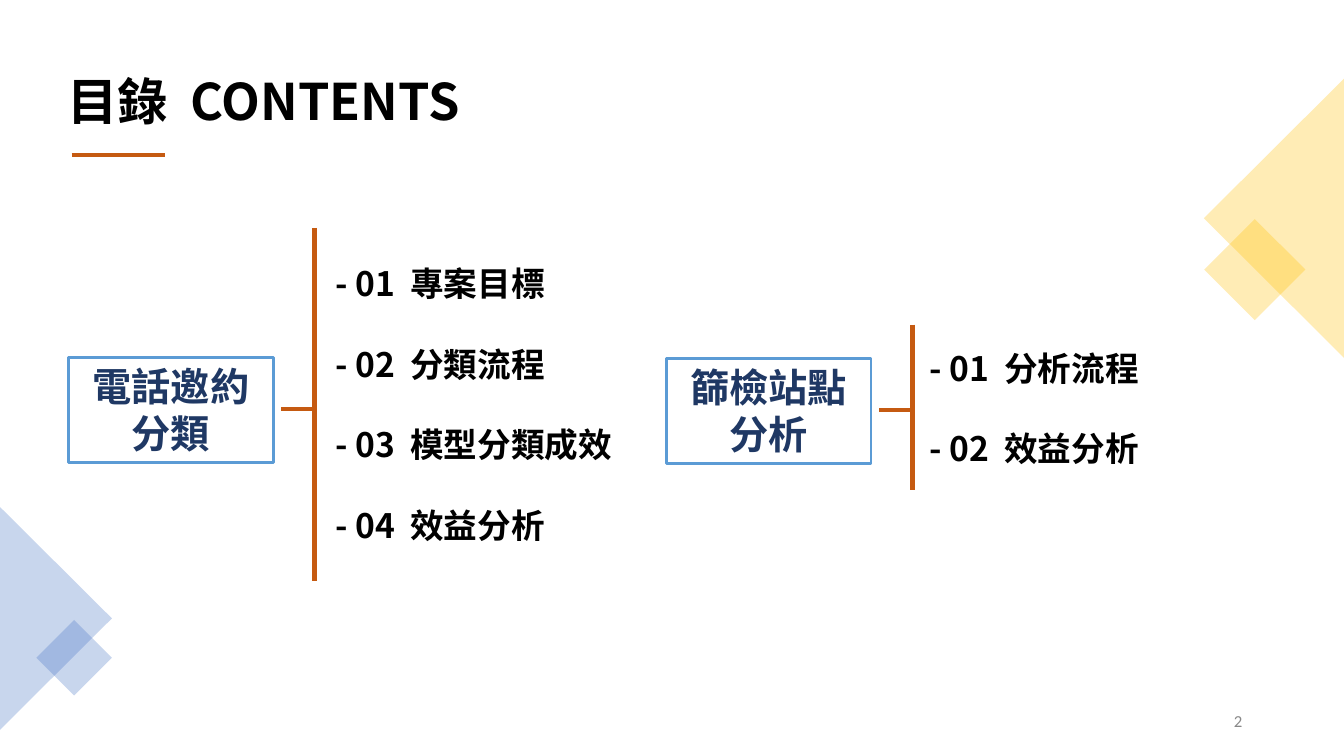
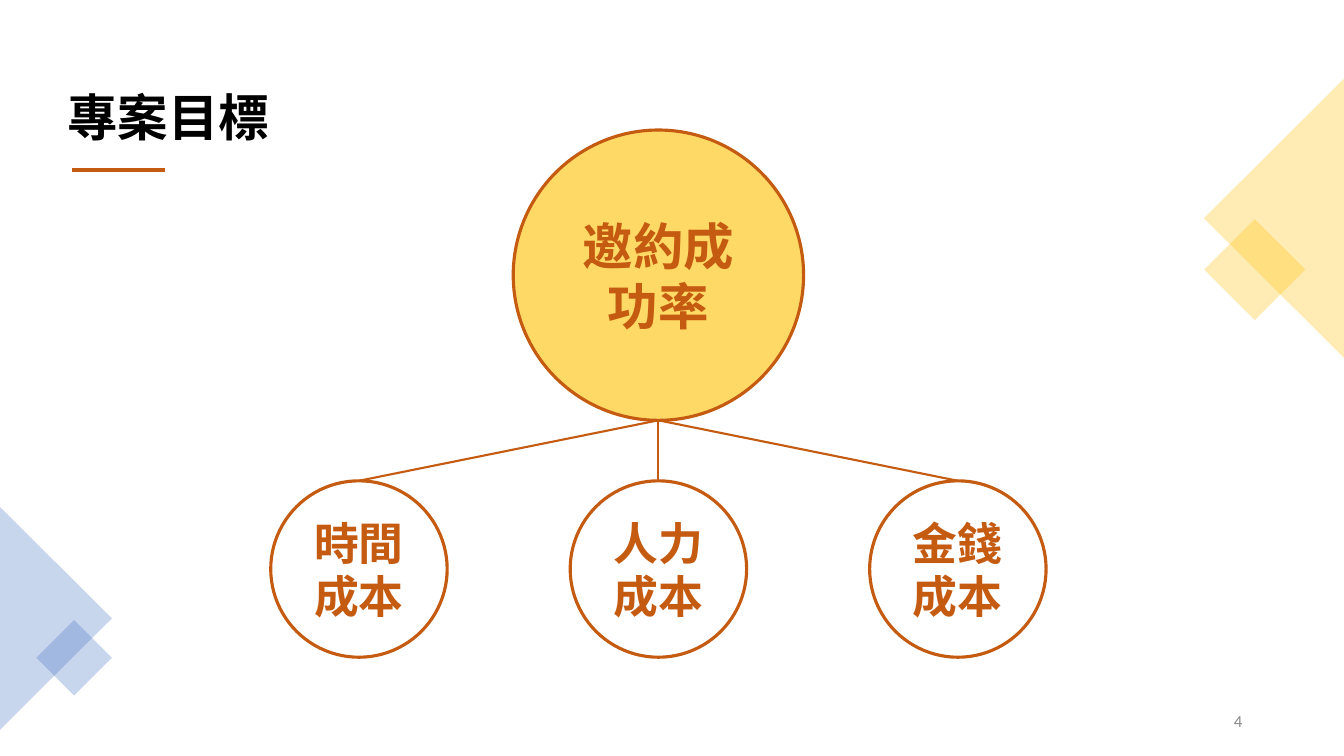
from lxml.etree import SubElement
from pptx import Presentation
from pptx.dml.color import RGBColor
from pptx.enum.shapes import MSO_CONNECTOR, MSO_SHAPE
from pptx.enum.text import MSO_ANCHOR, PP_ALIGN
from pptx.oxml.ns import qn
from pptx.util import Pt

PX = 9144
FONT = "Noto Sans CJK TC"
RUST = "C55A11"
BLACK = "000000"
GOLD = "FFC000"
BLUE = "4472C4"
hue = RGBColor.from_string


def write(shape, lines, size, color, align=PP_ALIGN.LEFT, anchor=MSO_ANCHOR.MIDDLE,
          face=FONT, lead=1.2, gap=0):
    frame = shape.text_frame
    frame.word_wrap = True
    frame.vertical_anchor = anchor
    for i, line in enumerate(lines):
        para = frame.add_paragraph() if i else frame.paragraphs[0]
        para.alignment = align
        para.line_spacing = Pt(size * lead)
        para.space_after = Pt(gap)
        for part in filter(None, line.rpartition(" ")):
            run = para.add_run()
            run.text = part
            run.font.size = Pt(size)
            run.font.bold = face == FONT
            run.font.color.rgb = hue(color)
            run.font.name = face
            props = run.font._element
            SubElement(props, qn("a:ea")).set("typeface", face)
            if part == " ":
                props.set("spc", str(size * 22))


def link(slide, x1, y1, x2, y2, width):
    line = slide.shapes.add_connector(
        MSO_CONNECTOR.STRAIGHT, *(v * PX for v in (x1, y1, x2, y2)))
    line.line.color.rgb = hue(RUST)
    line.line.width = Pt(width)
    SubElement(line._element.spPr, qn("a:effectLst"))
    return line


deck = Presentation()
deck.slide_width = 1333 * PX
deck.slide_height = 750 * PX

decor = [
    (MSO_SHAPE.RECTANGLE, 1209, 232, 71, 71, 45, GOLD),
    (MSO_SHAPE.ISOSCELES_TRIANGLE, 1125, 147, 277, 139, 270, GOLD),
    (MSO_SHAPE.ISOSCELES_TRIANGLE, -55, 558, 221, 111, 90, BLUE),
    (MSO_SHAPE.RECTANGLE, 47, 626, 53, 53, 45, BLUE),
]

slides = []
for title, top, page in [("目錄 CONTENTS", 41, "2"), ("專案目標", 56, "4")]:
    slide = deck.slides.add_slide(deck.slide_layouts[6])
    slides.append(slide)
    for kind, x, y, w, h, turn, color in decor:
        shape = slide.shapes.add_shape(kind, x * PX, y * PX, w * PX, h * PX)
        shape.rotation = turn
        shape.shadow.inherit = False
        shape.line.fill.background()
        shape.fill.solid()
        shape.fill.fore_color.rgb = hue(color)
        tint = shape._element.spPr.find(".//" + qn("a:srgbClr"))
        SubElement(tint, qn("a:alpha")).set("val", "29000")
    head = slide.shapes.add_textbox(57 * PX, top * PX, 1193 * PX, 124 * PX)
    write(head, [title], 36, BLACK, lead=1.08)
    link(slide, 71, top + 113, 164, top + 113, 3)
    foot = slide.shapes.add_textbox(942 * PX, 695 * PX, 300 * PX, 40 * PX)
    write(foot, [page], 12, "888888", PP_ALIGN.RIGHT, face="Calibri")

contents, goals = slides

groups = [
    ("電話邀約分類", 68, 355, 226, 576, 323, 256, 293,
     ["- 01 專案目標", "- 02 分類流程", "- 03 模型分類成效", "- 04 效益分析"]),
    ("篩檢站點分析", 661, 356, 322, 486, 912, 340, 131,
     ["- 01 分析流程", "- 02 效益分析"]),
]
for name, x, y, top, low, left, start, tall, items in groups:
    box = contents.shapes.add_shape(
        MSO_SHAPE.RECTANGLE, x * PX, y * PX, 203 * PX, 104 * PX)
    box.shadow.inherit = False
    box.fill.solid()
    box.fill.fore_color.rgb = hue("FFFFFF")
    box.line.color.rgb = hue("5B9BD5")
    box.line.width = Pt(2)
    write(box, [name], 28, "1F3864", PP_ALIGN.CENTER, MSO_ANCHOR.TOP)
    stem = x + 244
    link(contents, stem, top, stem, low, 3)
    link(contents, stem - 33, y + 51, stem, y + 51, 3)
    menu = contents.shapes.add_textbox(left * PX, start * PX, 308 * PX, tall * PX)
    write(menu, items, 24, BLACK, anchor=MSO_ANCHOR.TOP, gap=28.8)

MID = 653
STEP = 297
circles = [("邀約成功率", MID, 129, 288, 36, "FFD966")]
for i, name in enumerate(["時間成本", "人力成本", "金錢成本"]):
    circles.append((name, MID + (i - 1) * STEP, 477, 175, 32, None))

for name, mid, top, side, size, color in circles:
    disc = goals.shapes.add_shape(
        MSO_SHAPE.OVAL, mid * PX - side * PX // 2, top * PX, side * PX, side * PX)
    disc.shadow.inherit = False
    disc.line.color.rgb = hue(RUST)
    disc.line.width = Pt(2.25)
    write(disc, [name], size, RUST, PP_ALIGN.CENTER)
    if color:
        disc.fill.solid()
        disc.fill.fore_color.rgb = hue(color)
    else:
        disc.fill.background()
        link(goals, MID, 417, mid, top, 1.5).end_connect(disc, 0)

deck.save("out.pptx")
